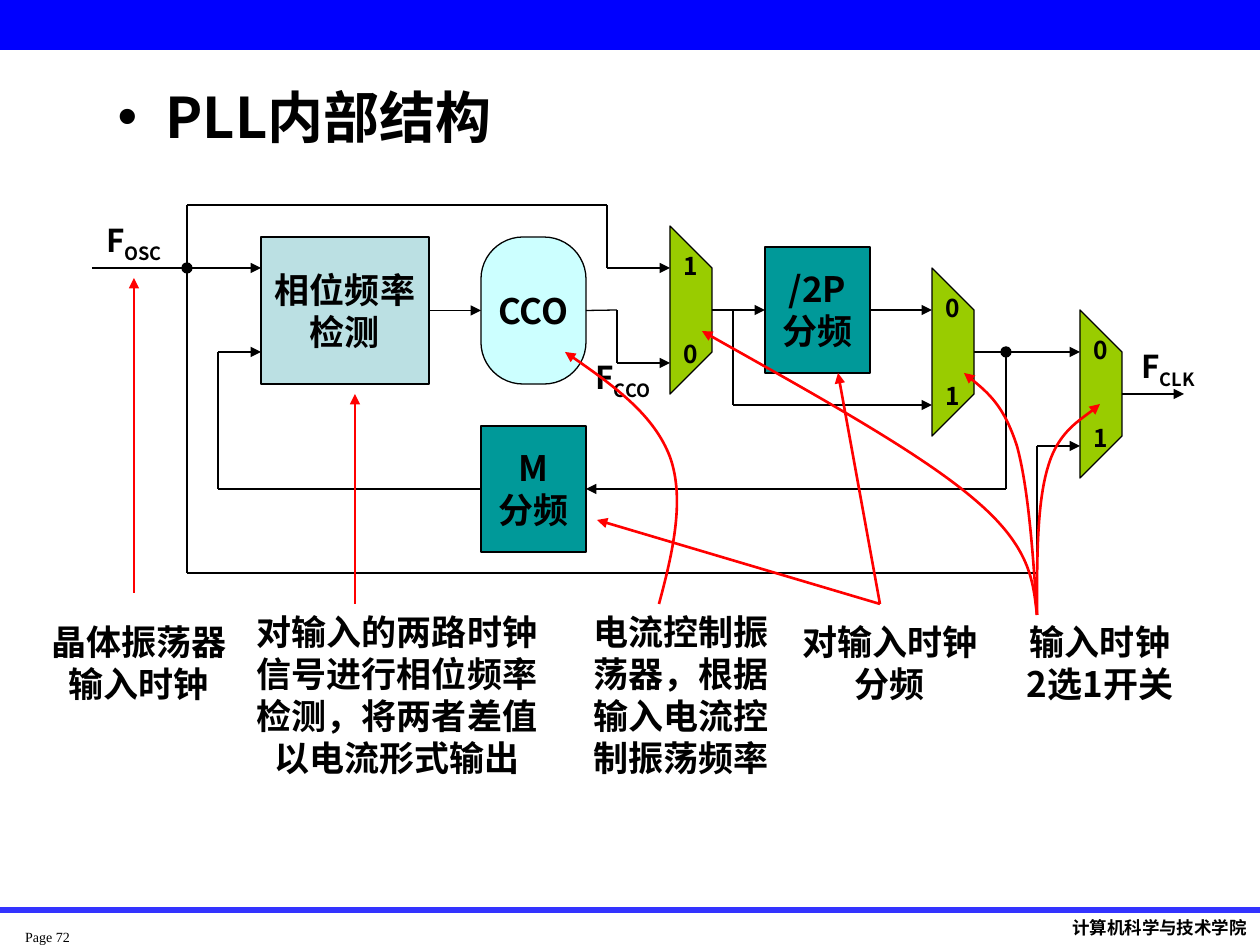
from dataclasses import dataclass
from itertools import pairwise

from lxml.etree import SubElement
from pptx import Presentation
from pptx.dml.color import RGBColor
from pptx.enum.shapes import MSO_CONNECTOR, MSO_SHAPE
from pptx.enum.text import MSO_ANCHOR, PP_ALIGN
from pptx.oxml.ns import qn
from pptx.util import Emu, Pt

EMU_PER_PX = 914400 / 126
LEFT, RIGHT = 1, 3  # connection sites


@dataclass(frozen=True)
class Theme:
    font: str = "Noto Sans CJK SC"
    footer_font: str = "Karla"
    page_font: str = "Times New Roman"
    ink: str = "000000"
    callout: str = "FF0000"
    header: str = "0000FF"
    rule: str = "3333FF"
    detector: str = "BBE0E3"
    oscillator: str = "CCFFFF"
    divider: str = "009999"
    switch: str = "99CC00"
    title_size: int = 32
    body_size: int = 20
    signal_size: int = 18
    switch_size: int = 14
    footer_size: int = 10
    page_size: int = 8
    wire_width: float = 0.75
    callout_width: float = 1.5
    rule_width: float = 3


@dataclass(frozen=True)
class Block:
    name: str
    lines: tuple
    box: tuple
    fill: str
    kind: MSO_SHAPE = MSO_SHAPE.RECTANGLE


@dataclass(frozen=True)
class Switch:
    left: int
    top: int
    inputs: tuple


@dataclass(frozen=True)
class Wire:
    points: tuple
    arrow: bool = True
    start: tuple = ()  # block name and connection site
    end: tuple = ()


@dataclass(frozen=True)
class Label:
    lines: tuple
    box: tuple
    size: int
    subscript: str = ""
    font: str = Theme.font
    bold: bool = True
    align: PP_ALIGN = PP_ALIGN.CENTER
    inset: bool = True


THEME = Theme()
PHASE, CCO, DIVIDER, FEEDBACK = "phase", "cco", "divider", "feedback"

BLOCKS = (
    Block(PHASE, ("相位频率", "检测"), (261, 237, 168, 147), THEME.detector),
    Block(CCO, ("CCO",), (481, 237, 105, 147), THEME.oscillator, MSO_SHAPE.ROUNDED_RECTANGLE),
    Block(DIVIDER, ("/2P", "分频"), (765, 247, 105, 126), THEME.divider),
    Block(FEEDBACK, ("M", "分频"), (481, 426, 105, 126), THEME.divider),
)
SWITCHES = (Switch(670, 226, ("1", "0")), Switch(932, 268, ("0", "1")), Switch(1080, 310, ("0", "1")))
WIRES = (
    Wire(((92, 268), (261, 268))),
    Wire(((429, 310), (481, 310)), start=(PHASE, RIGHT), end=(CCO, LEFT)),
    Wire(((586, 310), (617, 310), (617, 363), (670, 363)), start=(CCO, RIGHT)),
    Wire(((712, 310), (765, 310)), end=(DIVIDER, LEFT)),
    Wire(((870, 310), (932, 310)), start=(DIVIDER, RIGHT)),
    Wire(((733, 310), (733, 405), (932, 405))),
    Wire(((974, 352), (1080, 352))),
    Wire(((1006, 352), (1006, 489), (586, 489)), end=(FEEDBACK, RIGHT)),
    Wire(((481, 489), (218, 489), (218, 352), (261, 352)), start=(FEEDBACK, LEFT)),
    Wire(((187, 268), (187, 573), (1037, 573), (1037, 446), (1080, 446))),
    Wire(((187, 268), (187, 205), (607, 205), (607, 268), (670, 268))),
    Wire(((1122, 394), (1184, 394))),
)
JUNCTIONS = ((187, 268), (1006, 352))
POINTERS = (
    Wire(((134, 593), (134, 278))),
    Wire(((355, 604), (355, 394))),
    Wire(((880, 604), (838, 373))),
    Wire(((880, 604), (597, 520))),
)
# Each curve is a start point followed by triples of Bezier points
CURVES = (
    ((659, 604), (673, 552), (685, 499), (670, 457), (654, 415), (610, 383), (565, 352)),
    ((1037, 615), (1033, 581), (1031, 547), (974, 499), (919, 452), (810, 392), (702, 331)),
    ((1037, 615), (1033, 551), (1028, 486), (1017, 446), (1004, 406), (984, 389), (964, 373)),
    ((1037, 615), (1037, 558), (1037, 503), (1048, 467), (1058, 432), (1091, 413), (1100, 404)),
)
LABELS = (
    Label(("F",), (92, 215, 84, 55), THEME.signal_size, "OSC"),
    Label(("F",), (576, 352, 94, 55), THEME.signal_size, "CCO"),
    Label(("F",), (1121, 341, 94, 55), THEME.signal_size, "CLK"),
    Label(("晶体振荡器输入时钟",), (34, 614, 210, 97), THEME.body_size),
    Label(("对输入的两路时钟信号进行相位频率检测，将两者差值以电流形式输出",), (229, 604, 336, 181), THEME.body_size),
    Label(("电流控制振荡器，根据输入电流控制振荡频率",), (576, 604, 210, 181), THEME.body_size),
    Label(("对输入时钟分频",), (785, 614, 210, 97), THEME.body_size),
    Label(("输入时钟", "2选1开关"), (995, 614, 210, 97), THEME.body_size),
    Label(("Page 72",), (25, 929, 79, 16), THEME.page_size, font=THEME.page_font,
          bold=False, align=PP_ALIGN.LEFT, inset=False),
    Label(("计算机科学与技术学院",), (1060, 911, 200, 34), THEME.footer_size,
          font=THEME.footer_font, align=PP_ALIGN.LEFT),
)


def px(*lengths: float) -> list:
    return [Emu(round(length * EMU_PER_PX)) for length in lengths]


def style_line(line, color: str, width: float, arrow: bool = False) -> None:
    line.color.rgb = RGBColor.from_string(color)
    line.width = Pt(width)
    if arrow:
        SubElement(line._get_or_add_ln(), qn("a:tailEnd"), type="triangle")


def style_shape(shape, fill: str, line: str = THEME.ink) -> None:
    shape.shadow.inherit = False
    shape.fill.solid()
    shape.fill.fore_color.rgb = RGBColor.from_string(fill)
    style_line(shape.line, line, THEME.wire_width)


def write(frame, lines: tuple, size: int, font: str = THEME.font, bold: bool = True,
          align: PP_ALIGN = PP_ALIGN.CENTER, gap: float = 0) -> None:
    for index, text in enumerate(lines):
        para = frame.add_paragraph() if index else frame.paragraphs[0]
        para.text = text
        para.alignment = align
        para.space_before = Pt(gap if index else 0)
        para.font.name, para.font.size, para.font.bold = font, Pt(size), bold
        para.font.color.rgb = RGBColor.from_string(THEME.ink)
        SubElement(para.font._element, qn("a:ea"), typeface=font)


def clear_insets(frame) -> None:
    frame.margin_left = frame.margin_right = frame.margin_top = frame.margin_bottom = 0


def draw_block(page, block: Block):
    shape = page.shapes.add_shape(block.kind, *px(*block.box))
    if block.kind == MSO_SHAPE.ROUNDED_RECTANGLE:
        shape.adjustments[0] = 0.4
    style_shape(shape, block.fill)
    shape.text_frame.word_wrap = False
    shape.text_frame.vertical_anchor = MSO_ANCHOR.MIDDLE
    write(shape.text_frame, block.lines, THEME.body_size)
    return shape


def draw_switch(page, switch: Switch) -> None:
    x, y = switch.left, switch.top
    builder = page.shapes.build_freeform(x, y, scale=EMU_PER_PX)
    builder.add_line_segments([(x + 42, y + 42), (x + 42, y + 126), (x, y + 168)])
    shape = builder.convert_to_shape()
    style_shape(shape, THEME.switch)
    clear_insets(shape.text_frame)
    shape.text_frame.vertical_anchor = MSO_ANCHOR.MIDDLE
    write(shape.text_frame, switch.inputs, THEME.switch_size, gap=THEME.switch_size * 2.4)


def draw_wire(page, wire: Wire, blocks: dict, color: str, width: float) -> None:
    segments = list(pairwise(wire.points))
    for index, (start, end) in enumerate(segments):
        last = index == len(segments) - 1
        line = page.shapes.add_connector(MSO_CONNECTOR.STRAIGHT, *px(*start, *end))
        style_line(line.line, color, width, wire.arrow and last)
        SubElement(line._element.spPr, qn("a:effectLst"))
        if wire.start and index == 0:
            line.begin_connect(blocks[wire.start[0]], wire.start[1])
        if wire.end and last:
            line.end_connect(blocks[wire.end[0]], wire.end[1])


def draw_curve(page, points: tuple) -> None:
    builder = page.shapes.build_freeform(*points[0], scale=EMU_PER_PX)
    builder.add_line_segments(points[1:], close=False)
    shape = builder.convert_to_shape()
    shape.shadow.inherit = False
    shape.fill.background()
    style_line(shape.line, THEME.callout, THEME.callout_width, arrow=True)
    # Merge every three line points into one Bezier segment
    outline = next(shape._element.iter(qn("a:path")))
    steps = outline.findall(qn("a:lnTo"))
    for index, step in enumerate(steps):
        if index % 3 == 0:
            bezier = SubElement(outline, qn("a:cubicBezTo"))
        bezier.append(step[0])
        outline.remove(step)


def draw_label(page, label: Label) -> None:
    frame = page.shapes.add_textbox(*px(*label.box)).text_frame
    frame.word_wrap = True
    if not label.inset:
        clear_insets(frame)
    write(frame, label.lines, label.size, label.font, label.bold, label.align)
    if label.subscript:
        span = frame.paragraphs[0].add_run()
        span.text = label.subscript
        span._r.get_or_add_rPr().set("baseline", "-25000")


def draw_title(page, text: str) -> None:
    title = page.shapes.title
    title.left, title.top, title.width, title.height = px(105, 76, 1071, 95)
    title.text_frame.vertical_anchor = MSO_ANCHOR.TOP
    properties = title.text_frame.paragraphs[0]._p.get_or_add_pPr()
    properties.set("marL", str(px(48)[0]))
    properties.set("indent", str(px(-48)[0]))
    SubElement(properties, qn("a:buFont"), typeface="Arial")
    SubElement(properties, qn("a:buChar"), char="•")
    write(title.text_frame, (text,), THEME.title_size, align=PP_ALIGN.LEFT)


def main() -> None:
    deck = Presentation()
    deck.slide_width, deck.slide_height = px(1260, 945)
    page = deck.slides.add_slide(deck.slide_layouts[5])

    # Page frame and title
    header = page.shapes.add_shape(MSO_SHAPE.RECTANGLE, *px(0, 0, 1260, 49))
    style_shape(header, THEME.header, THEME.header)
    draw_wire(page, Wire(((0, 910), (1260, 910)), arrow=False), {}, THEME.rule, THEME.rule_width)
    draw_title(page, "PLL内部结构")

    # Circuit
    blocks = {block.name: draw_block(page, block) for block in BLOCKS}
    for wire in WIRES:
        draw_wire(page, wire, blocks, THEME.ink, THEME.wire_width)
    for x, y in JUNCTIONS:
        style_shape(page.shapes.add_shape(MSO_SHAPE.OVAL, *px(x - 5, y - 5, 10, 10)), THEME.ink)
    for switch in SWITCHES:
        draw_switch(page, switch)

    # Labels and red pointers
    for label in LABELS:
        draw_label(page, label)
    for pointer in POINTERS:
        draw_wire(page, pointer, blocks, THEME.callout, THEME.callout_width)
    for curve in CURVES:
        draw_curve(page, curve)

    deck.save("out.pptx")


if __name__ == "__main__":
    main()
